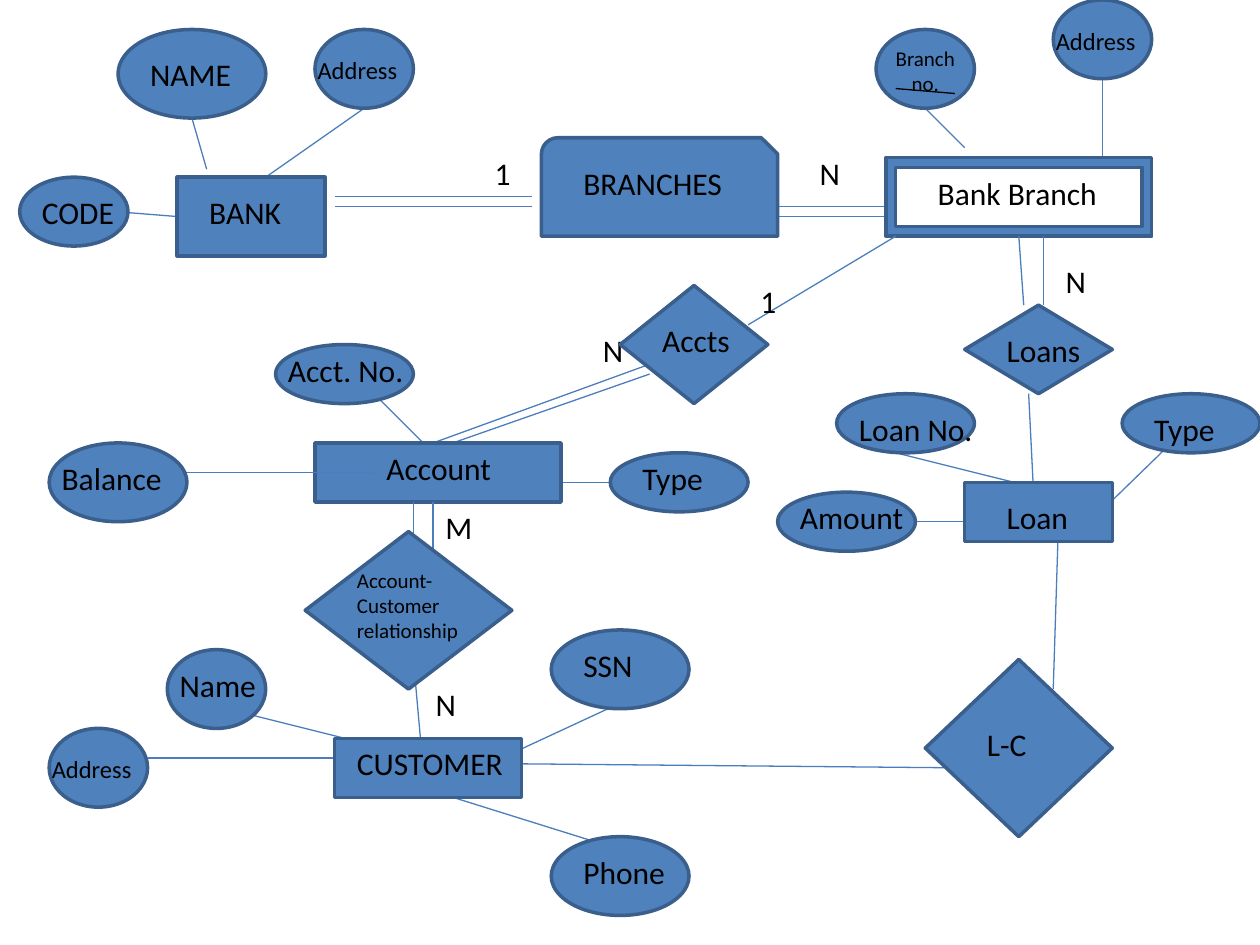
import dataclasses

import pptx
import pptx.dml.color
import pptx.enum.shapes
import pptx.enum.text
import pptx.oxml
import pptx.oxml.ns
import pptx.util

Pt = pptx.util.Pt
RGB = pptx.dml.color.RGBColor
KIND = pptx.enum.shapes.MSO_SHAPE
ALIGN = pptx.enum.text.PP_ALIGN


@dataclasses.dataclass(frozen=True)
class Theme:
    fill: RGB = RGB(0x4F, 0x81, 0xBD)
    outline: RGB = RGB(0x3A, 0x5F, 0x8C)
    link: RGB = RGB(0x4B, 0x7E, 0xBC)
    text: RGB = RGB(0, 0, 0)
    font: str = "Calibri"
    large: int = 18
    medium: int = 14
    small: int = 12
    outline_width: float = 2
    link_width: float = 0.75
    grid_step: float = 720 / 128


THEME = Theme()


@dataclasses.dataclass(frozen=True)
class Box:
    left: float
    top: float

    def point(self, x, y):
        return grid(self.left + x), grid(self.top + y)


def grid(steps):
    return Pt(steps * THEME.grid_step)


def add_links(slide, box, links, color=THEME.link):
    for x1, y1, x2, y2 in links:
        link = slide.shapes.add_connector(
            pptx.enum.shapes.MSO_CONNECTOR.STRAIGHT, *box.point(x1, y1), *box.point(x2, y2)
        )
        link.line.color.rgb = color
        link.line.width = Pt(THEME.link_width)
        properties = link._element.spPr
        properties.append(pptx.oxml.parse_xml(
            f'<a:effectLst {pptx.oxml.ns.nsdecls("a")}/>'
        ))


def add_label(slide, box, text, x, y, width, size=THEME.large, lines=1, align=None):
    height = Pt(lines * size * 1.22 + 7.2)
    label = slide.shapes.add_textbox(*box.point(x, y), grid(width), height)
    frame = label.text_frame
    frame.word_wrap = True
    frame.auto_size = pptx.enum.text.MSO_AUTO_SIZE.SHAPE_TO_FIT_TEXT
    frame.text = text
    paragraph = frame.paragraphs[0]
    paragraph.alignment = align
    font = paragraph.runs[0].font
    font.name = THEME.font
    font.size = Pt(size)
    font.color.rgb = THEME.text


def add_node(slide, box, kind, place, text, label_place, **label_style):
    x, y, width, height = place
    node = slide.shapes.add_shape(kind, *box.point(x, y), grid(width), grid(height))
    node.shadow.inherit = False
    node.fill.solid()
    node.fill.fore_color.rgb = THEME.fill
    node.line.color.rgb = THEME.outline
    node.line.width = Pt(THEME.outline_width)
    dx, dy, label_width = label_place
    add_label(slide, box, text, x + dx, y + dy, label_width, **label_style)


def add_nodes(slide, box, nodes):
    for kind, place, text, label_place in nodes:
        add_node(slide, box, kind, place, text, label_place)


def add_address(slide, box, x, y):
    add_node(slide, box, KIND.OVAL, (x, y, 10, 8), "Address", (-1, 2, 11), size=THEME.medium)


def draw_bank(slide, box):
    add_links(slide, box, [(11, 18.6, 16, 19), (19, 14.2, 17.5, 9), (25, 15, 35, 8)])
    add_nodes(slide, box, [
        (KIND.OVAL, (10, 0, 15, 9), "NAME", (2, 2, 14)),
        (KIND.RECTANGLE, (16, 15, 15, 8), "BANK", (2, 1, 10)),
        (KIND.OVAL, (0, 15, 11, 7), "CODE", (1, 1, 10)),
    ])
    add_address(slide, box, 30, 0)


def draw_branches(slide, box):
    add_links(slide, box, [(0, y, 20, y) for y in (6, 7)])
    add_links(slide, box, [(45, y, 56, y) for y in (7, 8)])
    add_label(slide, box, "1", 15, 1, 4)
    add_label(slide, box, "N", 48, 1, 4)
    add_node(slide, box, KIND.SNIP_ROUND_RECTANGLE, (21, 0, 24, 10), "BRANCHES", (3, 2, 21))


def draw_bank_branch(slide, box):
    add_links(slide, box, [(23, 16, 23, 8), (9, 15, 5, 11)])
    add_node(slide, box, KIND.FRAME, (1, 16, 27, 8), "Bank Branch", (4, 1, 22))
    add_address(slide, box, 18, 0)
    add_node(slide, box, KIND.OVAL, (0, 3, 10, 8), "Branch no.", (0, 1, 10),
             size=THEME.small, lines=2, align=ALIGN.CENTER)
    add_links(slide, box, [(2, 9, 8, 9.5)], THEME.text)


def draw_account(slide, box):
    add_links(slide, box, [
        (45, 25, 65, 25), (71, 9, 86, 0), (39, 21, 61, 13), (41, 21, 61, 14), (29, 12, 38, 21),
    ])
    add_node(slide, box, KIND.RECTANGLE, (27, 21, 25, 6), "Account", (6, 0, 19))
    add_links(slide, box, [(13, 24, 33, 24)])
    add_label(slide, box, "1", 71, 4, 5)
    add_label(slide, box, "N", 55, 9, 4)
    add_nodes(slide, box, [
        (KIND.OVAL, (57, 22, 14, 6), "Type", (2, 0, 10)),
        (KIND.OVAL, (0, 21, 14, 8), "Balance", (0, 1, 16)),
        (KIND.DIAMOND, (58, 5, 15, 12), "Accts", (3, 3, 16)),
        (KIND.OVAL, (23, 11, 14, 6), "Acct. No.", (0, 0, 19)),
    ])


def draw_customer(slide, box):
    add_links(slide, box, [
        (41, 30, 57, 35), (14, 20, 34, 25), (10, 26, 30, 26), (46, 26, 58.5, 20.2),
        (37, 16, 37.8, 25), (37, 0, 37, 5), (39, 0, 39, 5), (48, 26.6, 92, 27),
    ])
    add_label(slide, box, "M", 39, 0, 4)
    add_label(slide, box, "N", 38, 18, 4)
    add_nodes(slide, box, [
        (KIND.RECTANGLE, (29, 24, 19, 6), "CUSTOMER", (1, 0, 18)),
        (KIND.OVAL, (12, 15, 10, 8), "Name", (0, 1, 14)),
        (KIND.OVAL, (51, 34, 14, 8), "Phone", (2, 1, 13)),
        (KIND.OVAL, (51, 13, 14, 8), "SSN", (2, 1, 11)),
    ])
    add_address(slide, box, 0, 23)
    add_node(slide, box, KIND.DIAMOND, (26, 3, 21, 16), "Account-Customer relationship",
             (4, 3, 15), size=THEME.small, lines=3)


def draw_loan(slide, box):
    add_links(slide, box, [
        (24.5, 0, 25, 7), (27, 7, 27, 0), (9, 29, 21, 29), (26, 26, 25.5, 16),
        (28, 46, 28.5, 30), (33, 27.8, 40, 21), (12, 22, 24, 25),
    ])
    add_label(slide, box, "N", 28, 2, 4)
    add_nodes(slide, box, [
        (KIND.RECTANGLE, (19, 25, 15, 6), "Loan", (3, 1, 12)),
        (KIND.OVAL, (35, 16, 14, 6), "Type", (2, 1, 9)),
        (KIND.OVAL, (0, 26, 14, 6), "Amount", (1, 0, 17)),
        (KIND.OVAL, (6, 16, 14, 6), "Loan No.", (1, 1, 17)),
        (KIND.DIAMOND, (19, 7, 15, 9), "Loans", (3, 2, 13)),
        (KIND.DIAMOND, (15, 43, 19, 18), "L-C", (5, 6, 10)),
    ])


def main():
    deck = pptx.Presentation()
    deck.slide_width, deck.slide_height = Pt(720), Pt(540)
    slide = deck.slides.add_slide(deck.slide_layouts[6])
    draw_bank(slide, Box(2, 3))
    draw_branches(slide, Box(34, 14))
    draw_bank_branch(slide, Box(89, 0))
    draw_account(slide, Box(5, 24))
    draw_customer(slide, Box(5, 51))
    draw_loan(slide, Box(79, 24))
    deck.save("out.pptx")


if __name__ == "__main__":
    main()
